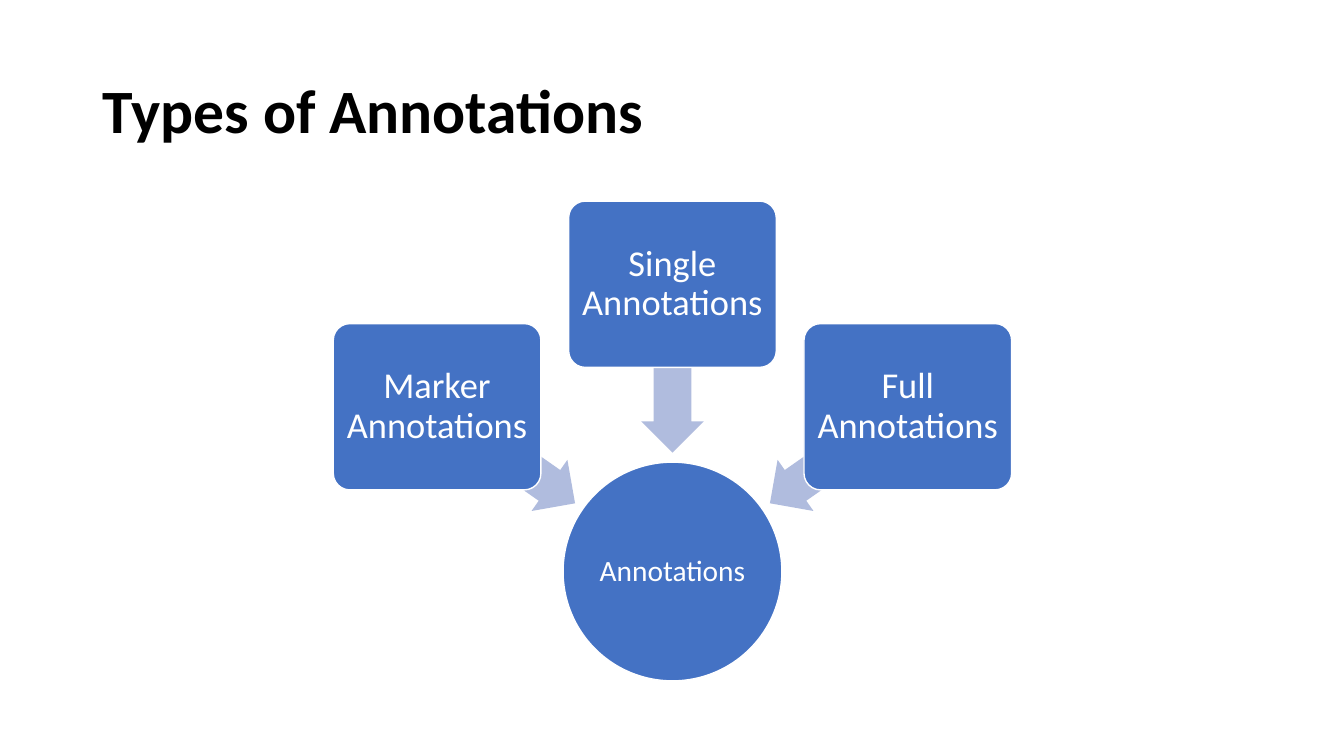
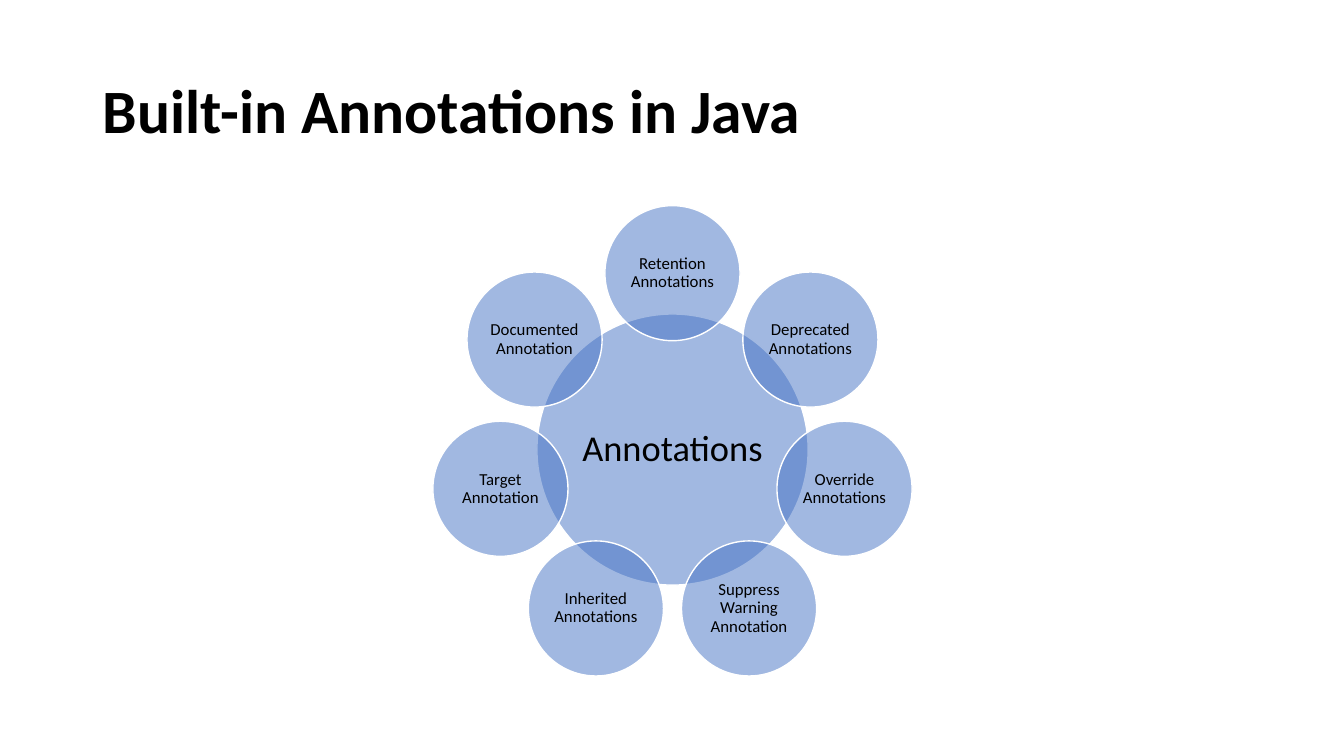
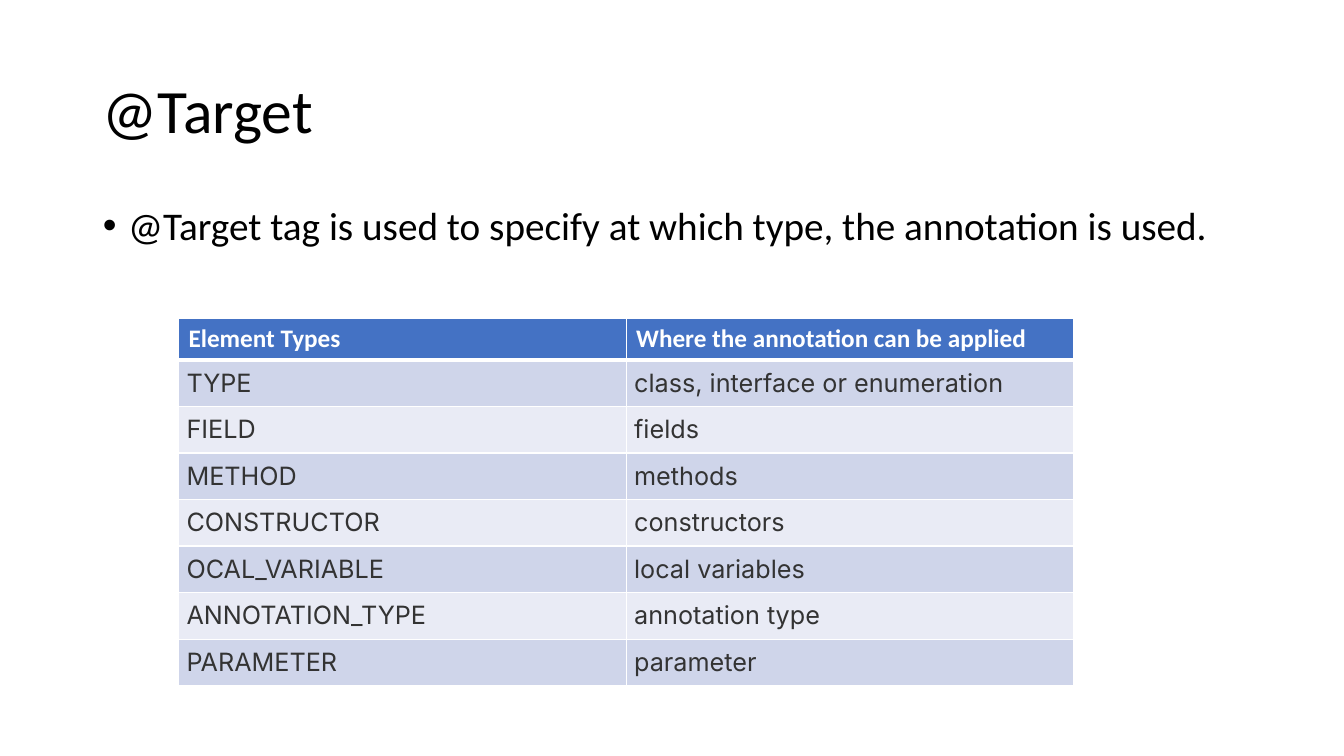
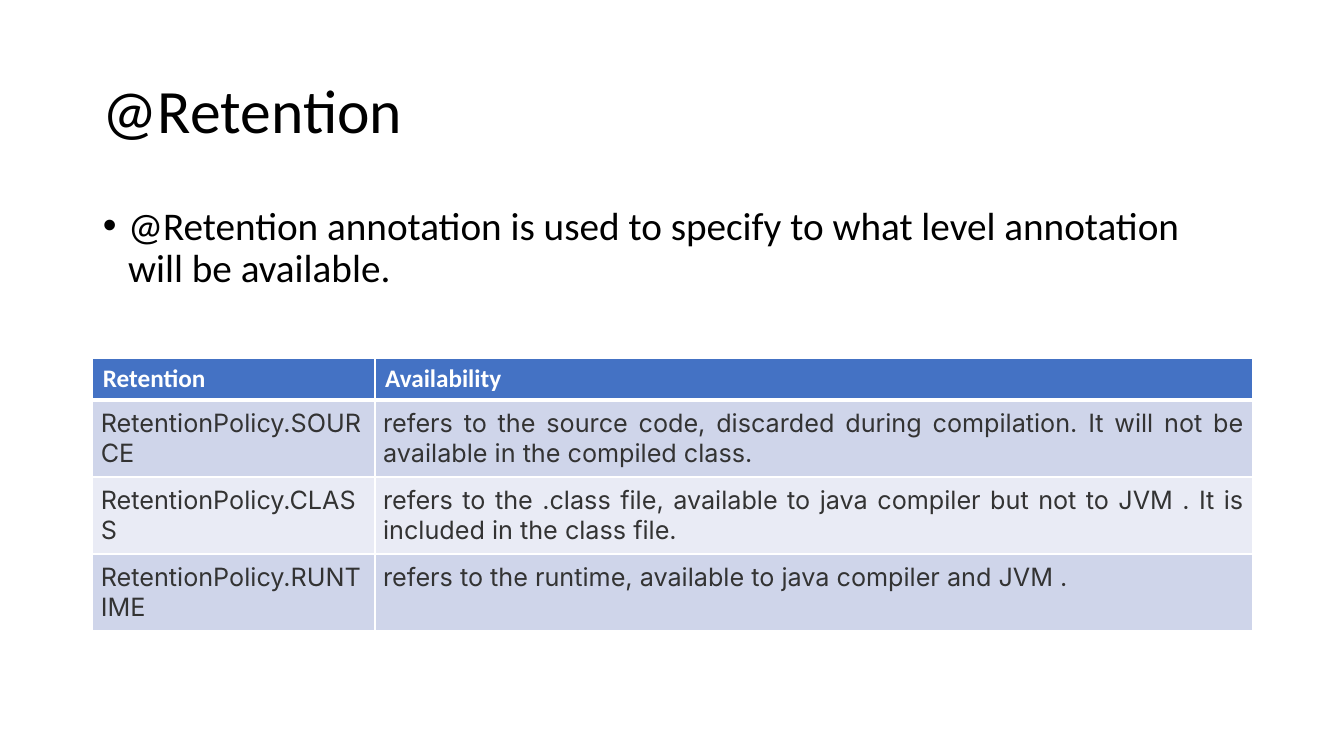
from math import cos, radians, sin

from pptx import Presentation
from pptx.dml.color import RGBColor
from pptx.enum.shapes import MSO_SHAPE
from pptx.enum.text import MSO_ANCHOR, MSO_AUTO_SIZE, PP_ALIGN
from pptx.oxml.ns import qn
from pptx.util import Inches, Pt
from lxml.etree import SubElement

BLUE = "4472C4"
PALE_BLUE = "B0BCDE"
WHITE = "FFFFFF"
BLACK = "000000"
DARK_GREY = "333333"
BAND_COLORS = ("CFD5EA", "E9EBF5")
HEADING_FONT = "Calibri"
CELL_FONT = "Inter"

TITLE_AND_CONTENT, TITLE_ONLY = 1, 5
MARGIN, CONTENT_WIDTH = 0.92, 11.5
CENTER_X = 6.67
ROW_HEIGHT = 0.41


def rgb(color):
    return RGBColor.from_string(color)


def format_paragraph(paragraph, size, color, font=HEADING_FONT, bold=False,
                     align=PP_ALIGN.LEFT, line_spacing=None):
    paragraph.alignment = align
    paragraph.line_spacing = line_spacing
    for run in paragraph.runs:
        run.font.size = Pt(size)
        run.font.name = font
        run.font.bold = bold
        run.font.color.rgb = rgb(color)


def set_insets(target, inset):
    """Give a text frame or a table cell the same margin on all sides."""
    target.margin_left = target.margin_right = Inches(inset)
    target.margin_top = target.margin_bottom = Inches(inset)


def place(shape, left, top, width, height):
    shape.left, shape.top = Inches(left), Inches(top)
    shape.width, shape.height = Inches(width), Inches(height)


def add_slide(presentation, layout, title, bold=False):
    slide = presentation.slides.add_slide(presentation.slide_layouts[layout])
    shape = slide.shapes.title
    place(shape, MARGIN, 0.4, CONTENT_WIDTH, 1.45)
    frame = shape.text_frame
    frame.text = title
    frame.vertical_anchor = MSO_ANCHOR.MIDDLE
    frame.auto_size = MSO_AUTO_SIZE.NONE
    format_paragraph(frame.paragraphs[0], 44, BLACK, bold=bold, line_spacing=0.9)
    return slide


def fill_body(slide, text):
    """Put one bulleted paragraph in the content placeholder."""
    body = slide.placeholders[1]
    place(body, MARGIN, 2, CONTENT_WIDTH, 4.76)
    frame = body.text_frame
    frame.text = text
    frame.auto_size = MSO_AUTO_SIZE.NONE
    paragraph = frame.paragraphs[0]
    format_paragraph(paragraph, 28, BLACK, line_spacing=0.9)
    paragraph.space_before = Pt(10)
    properties = paragraph._p.get_or_add_pPr()
    properties.set("marL", str(Inches(0.25)))
    properties.set("indent", str(-Inches(0.25)))


def point_on_ring(center_y, radius, angle):
    """Return the point at an angle in degrees, clockwise from the right."""
    return (CENTER_X + radius * cos(radians(angle)),
            center_y + radius * sin(radians(angle)))


def add_centered_shape(slide, kind, center, size, fill, outlined=True):
    (x, y), (width, height) = center, size
    shape = slide.shapes.add_shape(
        kind, Inches(x - width / 2), Inches(y - height / 2),
        Inches(width), Inches(height))
    shape.shadow.inherit = False
    shape.fill.solid()
    shape.fill.fore_color.rgb = rgb(fill)
    if outlined:
        shape.line.color.rgb = rgb(WHITE)
        shape.line.width = Pt(1)
    else:
        shape.line.fill.background()
    return shape


def label(shape, text, size, color, inset):
    frame = shape.text_frame
    frame.text = text
    frame.word_wrap = True
    frame.vertical_anchor = MSO_ANCHOR.MIDDLE
    set_insets(frame, inset)
    format_paragraph(frame.paragraphs[0], size, color,
                     align=PP_ALIGN.CENTER, line_spacing=0.9)


def add_arrow(slide, center, rotation):
    arrow = add_centered_shape(slide, MSO_SHAPE.LEFT_ARROW, center,
                               (1.66, 0.62), PALE_BLUE, outlined=False)
    arrow.adjustments[0] = 0.6
    arrow.adjustments[1] = 0.5
    arrow.rotation = rotation


def add_box(slide, center, text):
    box = add_centered_shape(slide, MSO_SHAPE.ROUNDED_RECTANGLE, center,
                             (2.06, 1.65), BLUE)
    box.adjustments[0] = 0.1
    label(box, text, 26, WHITE, 0.05)


def add_circle(slide, center, diameter, text, size, color, inset, alpha=100):
    circle = add_centered_shape(slide, MSO_SHAPE.OVAL, center,
                                (diameter, diameter), BLUE)
    if alpha < 100:
        fill_color = circle._element.spPr.find(
            f"{qn('a:solidFill')}/{qn('a:srgbClr')}")
        SubElement(fill_color, qn("a:alpha")).set("val", str(alpha * 1000))
    label(circle, text, size, color, inset)


def add_converging_diagram(slide, hub_text, box_texts):
    """Draw boxes on an arc, each with an arrow to the hub below."""
    hub_y = 5.67
    add_circle(slide, (CENTER_X, hub_y), 2.17, hub_text, 21, WHITE, 0.01)
    for index, text in enumerate(box_texts):
        angle = 215 + 55 * index
        add_arrow(slide, point_on_ring(hub_y, 2.01, angle), angle)
        add_box(slide, point_on_ring(hub_y, 2.85, angle), text)


def add_radial_venn(slide, hub_text, satellite_texts):
    """Draw a hub with evenly spaced, overlapping circles around it."""
    hub_y = 4.46
    add_circle(slide, (CENTER_X, hub_y), 2.69, hub_text, 26, BLACK, 0.04, 50)
    step = 360 / len(satellite_texts)
    for index, text in enumerate(satellite_texts):
        center = point_on_ring(hub_y, 1.75, step * index - 90)
        add_circle(slide, center, 1.34, text, 12, BLACK, 0.02, 50)


def set_borders(cell, top=1, bottom=1):
    properties = cell._tc.get_or_add_tcPr()
    for side, width in (("L", 1), ("R", 1), ("T", top), ("B", bottom)):
        line = SubElement(properties, qn(f"a:ln{side}"), w=str(Pt(width)))
        fill = SubElement(line, qn("a:solidFill"))
        SubElement(fill, qn("a:srgbClr"), val=WHITE)


def fill_cell(cell, color):
    cell.fill.solid()
    cell.fill.fore_color.rgb = rgb(color)


def format_header_cell(cell):
    set_borders(cell, bottom=3)
    fill_cell(cell, BLUE)
    format_paragraph(cell.text_frame.paragraphs[0], 18, WHITE, bold=True)


def format_body_cell(cell, row):
    set_borders(cell, top=3 if row == 1 else 1)
    fill_cell(cell, BAND_COLORS[(row - 1) % 2])
    set_insets(cell, 0.08)
    format_paragraph(cell.text_frame.paragraphs[0], 18, DARK_GREY,
                     font=CELL_FONT, align=PP_ALIGN.JUSTIFY)


def add_banded_table(slide, left, top, widths, rows):
    table = slide.shapes.add_table(
        len(rows), len(widths), Inches(left), Inches(top),
        Inches(sum(widths)), Inches(ROW_HEIGHT * len(rows))).table
    for column, width in zip(table.columns, widths):
        column.width = Inches(width)
    for row, texts in enumerate(rows):
        table.rows[row].height = Inches(ROW_HEIGHT)
        for column, text in enumerate(texts):
            cell = table.cell(row, column)
            cell.text = text
            if row == 0:
                format_header_cell(cell)
            else:
                format_body_cell(cell, row)


def main():
    presentation = Presentation()
    presentation.slide_width = Inches(13.33)
    presentation.slide_height = Inches(7.5)

    slide = add_slide(presentation, TITLE_ONLY, "Types of Annotations", bold=True)
    add_converging_diagram(slide, "Annotations", [
        "Marker Annotations", "Single Annotations", "Full Annotations"])

    slide = add_slide(presentation, TITLE_ONLY, "Built-in Annotations in Java",
                      bold=True)
    add_radial_venn(slide, "Annotations", [
        "Retention Annotations", "Deprecated Annotations",
        "Override Annotations", "Suppress Warning Annotation",
        "Inherited Annotations", "Target Annotation",
        "Documented Annotation"])

    slide = add_slide(presentation, TITLE_AND_CONTENT, "@Target")
    fill_body(slide, "@Target tag is used to specify at which type, "
                     "the annotation is used.")
    add_banded_table(slide, 1.77, 3.16, (4.44, 4.44), [
        ("Element Types", "Where the annotation can be applied"),
        ("TYPE", "class, interface or enumeration"),
        ("FIELD", "fields"),
        ("METHOD", "methods"),
        ("CONSTRUCTOR", "constructors"),
        ("OCAL_VARIABLE", "local variables"),
        ("ANNOTATION_TYPE", "annotation type"),
        ("PARAMETER", "parameter")])

    slide = add_slide(presentation, TITLE_AND_CONTENT, "@Retention")
    fill_body(slide, "@Retention annotation is used to specify to what level "
                     "annotation will be available.")
    add_banded_table(slide, MARGIN, 3.56, (2.8, 8.7), [
        ("Retention", "Availability"),
        ("RetentionPolicy.SOURCE",
         "refers to the source code, discarded during compilation. "
         "It will not be available in the compiled class."),
        ("RetentionPolicy.CLASS",
         "refers to the .class file, available to java compiler but not to "
         "JVM . It is included in the class file."),
        ("RetentionPolicy.RUNTIME",
         "refers to the runtime, available to java compiler and JVM .")])

    presentation.save("out.pptx")


if __name__ == "__main__":
    main()
